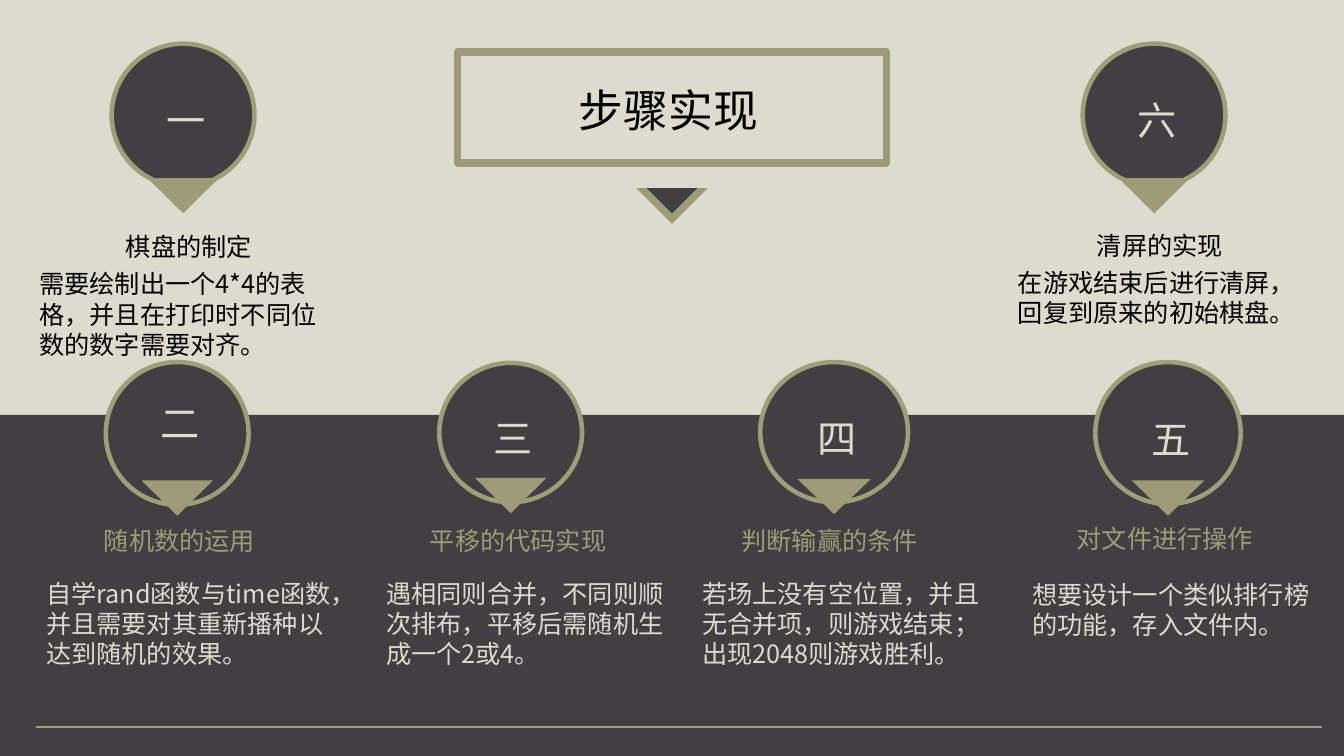
from lxml import etree
from pptx import Presentation
from pptx.dml.color import RGBColor
from pptx.enum.shapes import MSO_CONNECTOR, MSO_SHAPE
from pptx.enum.text import MSO_ANCHOR, MSO_AUTO_SIZE, PP_ALIGN
from pptx.oxml.ns import qn
from pptx.util import Inches, Pt

RECT, OVAL, TRIANGLE = MSO_SHAPE.RECTANGLE, MSO_SHAPE.OVAL, MSO_SHAPE.ISOSCELES_TRIANGLE
STRAIGHT = MSO_CONNECTOR.STRAIGHT
TOP, LEFT, NO_FIT = MSO_ANCHOR.TOP, PP_ALIGN.LEFT, MSO_AUTO_SIZE.NONE

COLORS = {"paper": "DDDBCE", "dark": "423E42", "olive": "9F9A77",
          "rim": "A09D7A", "black": "000000"}
FONT = "Noto Sans CJK SC"
COLS, ROWS = 16, 9

TITLE = {"size": Pt(32), "name": FONT, "bold": False}
NUMERAL = {"size": Pt(28), "name": FONT}
BODY = {"size": Pt(18), "name": FONT}

STEPS = [
    {"numeral": "一", "badge": (1.33, 0.52, 1.7, 1.7), "tip": 2.12, "numeral_y": 1.09,
     "heading": "棋盘的制定", "heading_at": (1.38, 2.7, 1.74), "colors": ("black", "black"),
     "body": "需要绘制出一个4*4的表格，并且在打印时不同位数的数字需要对齐。",
     "body_at": (0.35, 3.14, 3.68, 1.21)},
    {"numeral": "二", "badge": (1.26, 4.31, 1.7, 1.7), "tip": 5.72, "numeral_y": 4.69,
     "heading": "随机数的运用", "heading_at": (1.12, 6.19, 2.04), "colors": ("olive", "paper"),
     "body": "自学rand函数与time函数，并且需要对其重新播种以达到随机的效果。",
     "body_at": (0.43, 6.82, 3.68, 1.21)},
    {"numeral": "三", "badge": (5.23, 4.32, 1.7, 1.66), "tip": 5.69, "numeral_y": 4.87,
     "heading": "平移的代码实现", "heading_at": (5, 6.19, 2.34), "colors": ("olive", "paper"),
     "body": "遇相同则合并，不同则顺次排布，平移后需随机生成一个2或4。",
     "body_at": (4.48, 6.82, 3.68, 1.21)},
    {"numeral": "四", "badge": (9.05, 4.31, 1.76, 1.67), "tip": 5.7, "numeral_y": 4.87,
     "heading": "判断输赢的条件", "heading_at": (8.71, 6.19, 2.34), "colors": ("olive", "paper"),
     "body": "若场上没有空位置，并且无合并项，则游戏结束；出现2048则游戏胜利。",
     "body_at": (8.24, 6.82, 3.68, 1.21)},
    {"numeral": "五", "badge": (13.04, 4.31, 1.73, 1.69), "tip": 5.72, "numeral_y": 4.88,
     "heading": "对文件进行操作", "heading_at": (12.7, 6.17, 2.39), "colors": ("olive", "paper"),
     "body": "想要设计一个类似排行榜的功能，存入文件内。",
     "body_at": (12.17, 6.84, 3.6, 0.85)},
    {"numeral": "六", "badge": (12.89, 0.52, 1.7, 1.7), "tip": 2.12, "numeral_y": 1.09,
     "heading": "清屏的实现", "heading_at": (12.94, 2.68, 1.74), "colors": ("black", "black"),
     "body": "在游戏结束后进行清屏，回复到原来的初始棋盘。",
     "body_at": (12, 3.12, 3.68, 0.85)},
]


class Deck:
    def __init__(self):
        self.prs = Presentation()
        self.prs.slide_width, self.prs.slide_height = Inches(13.333), Inches(7.5)
        self.s = self.prs.slides.add_slide(self.prs.slide_layouts[5])
        self.paint(self.s.background.fill, "paper")

    def grid(self, *lengths):
        units = self.prs.slide_width / COLS, self.prs.slide_height / ROWS
        return [round(v * units[i % 2]) for i, v in enumerate(lengths)]

    def rgb(self, color):
        return RGBColor.from_string(COLORS[color])

    def paint(self, fill, color):
        if color:
            fill.solid()
            fill.fore_color.rgb = self.rgb(color)
        else:
            fill.background()

    def shape(self, kind, at, fill=None, line=None, width=0, rotation=0, parent=None):
        sp = (parent or self.s).shapes.add_shape(kind, *self.grid(*at))
        sp.shadow.inherit = False
        sp.rotation = rotation
        self.paint(sp.fill, fill)
        self.paint(sp.line.fill, line)
        if line:
            sp.line.width = Pt(width)

    def pointer(self, at, fill, parent):
        self.shape(TRIANGLE, at, fill, rotation=180, parent=parent)

    def set_text(self, sp, text, fmt, color, wrap=True):
        tf = sp.text_frame
        for key, value in {"word_wrap": wrap, "auto_size": NO_FIT, "vertical_anchor": TOP}.items():
            setattr(tf, key, value)
        p = tf.paragraphs[0]
        p.alignment = LEFT
        r = p.add_run()
        r.text = text
        for key, value in fmt.items():
            setattr(r.font, key, value)
        r.font.color.rgb = self.rgb(color)
        etree.SubElement(r.font._element, qn("a:ea"), typeface=FONT)

    def text(self, text, at, fmt, color, wrap=True, parent=None):
        sp = (parent or self.s).shapes.add_textbox(*self.grid(*at))
        self.set_text(sp, text, fmt, color, wrap)

    def title(self, text, at):
        sp = self.s.shapes.title
        sp.left, sp.top, sp.width, sp.height = self.grid(*at)
        self.paint(sp.fill, "paper")
        self.set_text(sp, text, TITLE, "black", False)

    def rule(self, x1, x2, y):
        c = self.s.shapes.add_connector(STRAIGHT, *self.grid(x1, y, x2, y))
        c.line.width = Pt(1.5)
        c.line.color.rgb = self.rgb("rim")
        etree.SubElement(c._element.spPr, qn("a:effectLst"))

    def group(self):
        return self.s.shapes.add_group_shape()

    def step(self, step):
        x, y, w, h = step["badge"]
        center = x + w / 2
        badge = self.group()
        self.shape(OVAL, step["badge"], "dark", "rim", 3.25, parent=badge)
        self.pointer((center - w / 4, step["tip"], w / 2, 0.42), "olive", badge)
        self.text(step["numeral"], (center - 0.32, step["numeral_y"], 0.71, 0.68),
                  NUMERAL, "paper", False, badge)
        heading_color, body_color = step["colors"]
        self.text(step["heading"], (*step["heading_at"], 0.48), BODY, heading_color, False)
        self.text(step["body"], step["body_at"], BODY, body_color)


def main():
    deck = Deck()
    deck.shape(RECT, (0, 4.94, COLS, ROWS - 4.94), "dark")
    deck.shape(RECT, (5.45, 0.62, 5.1, 1.32), line="olive", width=5.25)
    deck.title("步骤实现", (6.77, 0.92, 2.38, 0.77))
    marker = deck.group()
    for width, color in ((0.85, "olive"), (0.6, "dark")):
        deck.pointer((8 - width / 2, 2.24, width, width / 2), color, marker)
    for step in STEPS:
        deck.step(step)
    deck.rule(0.43, 15.74, 8.65)
    deck.prs.save("out.pptx")


if __name__ == "__main__":
    main()
